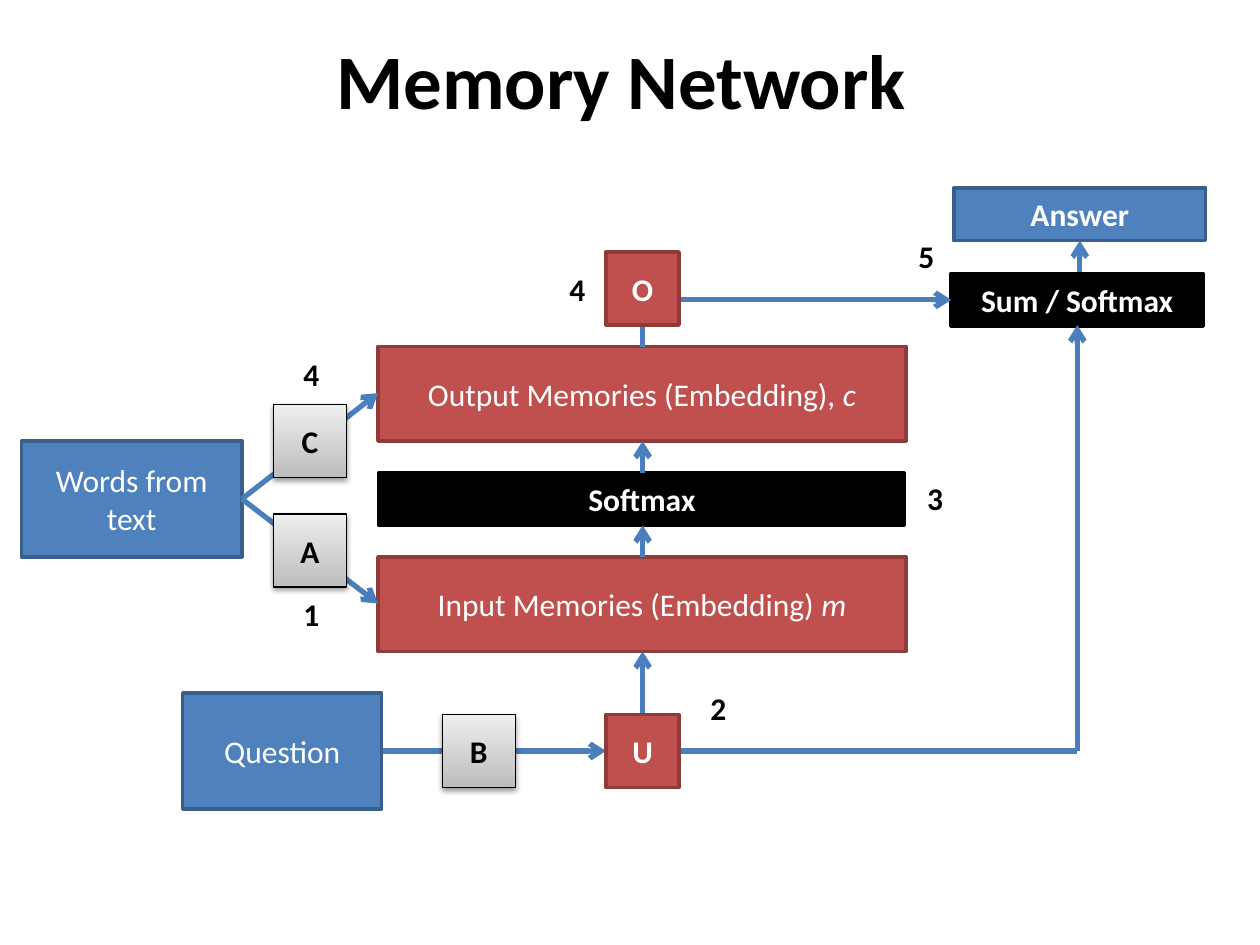
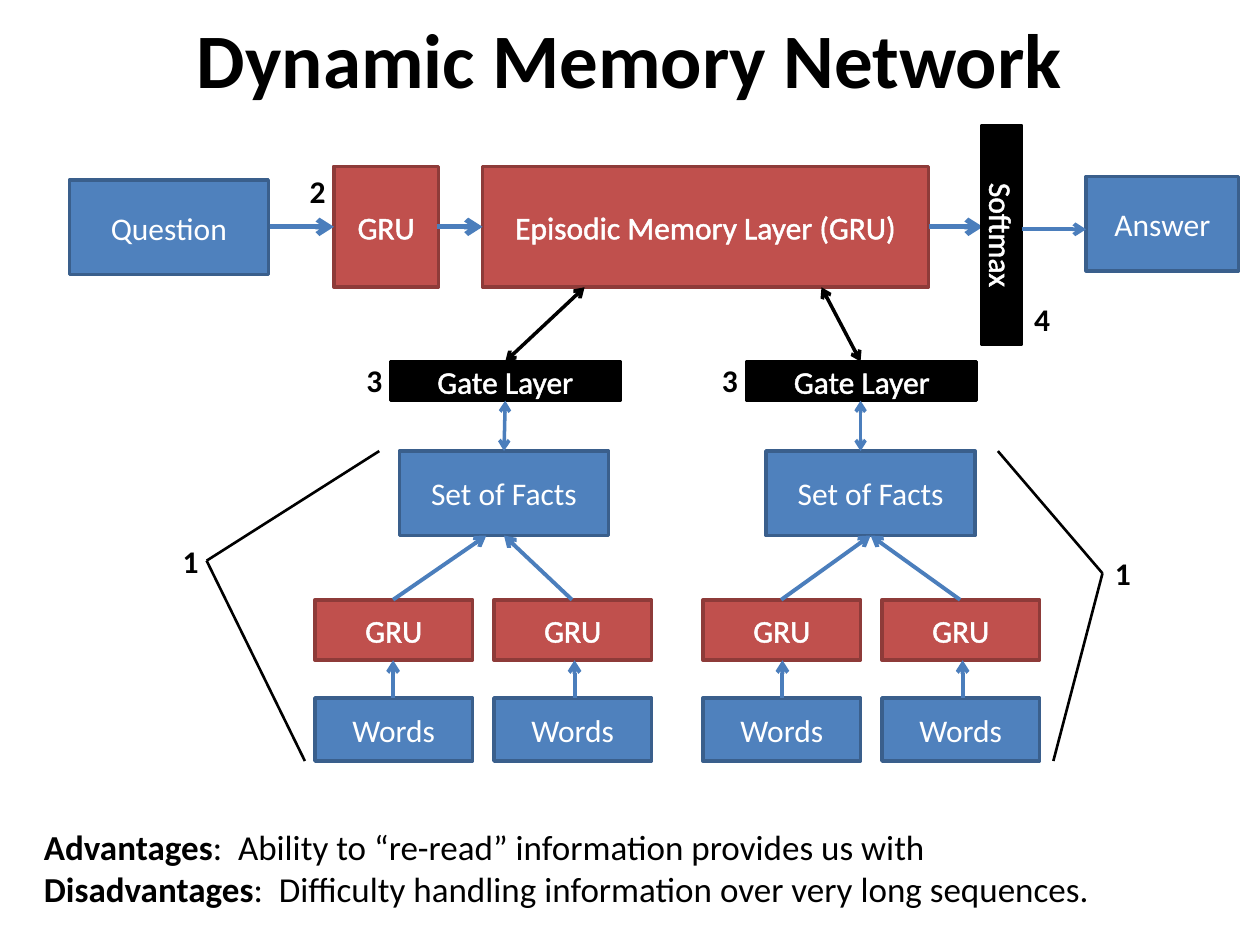
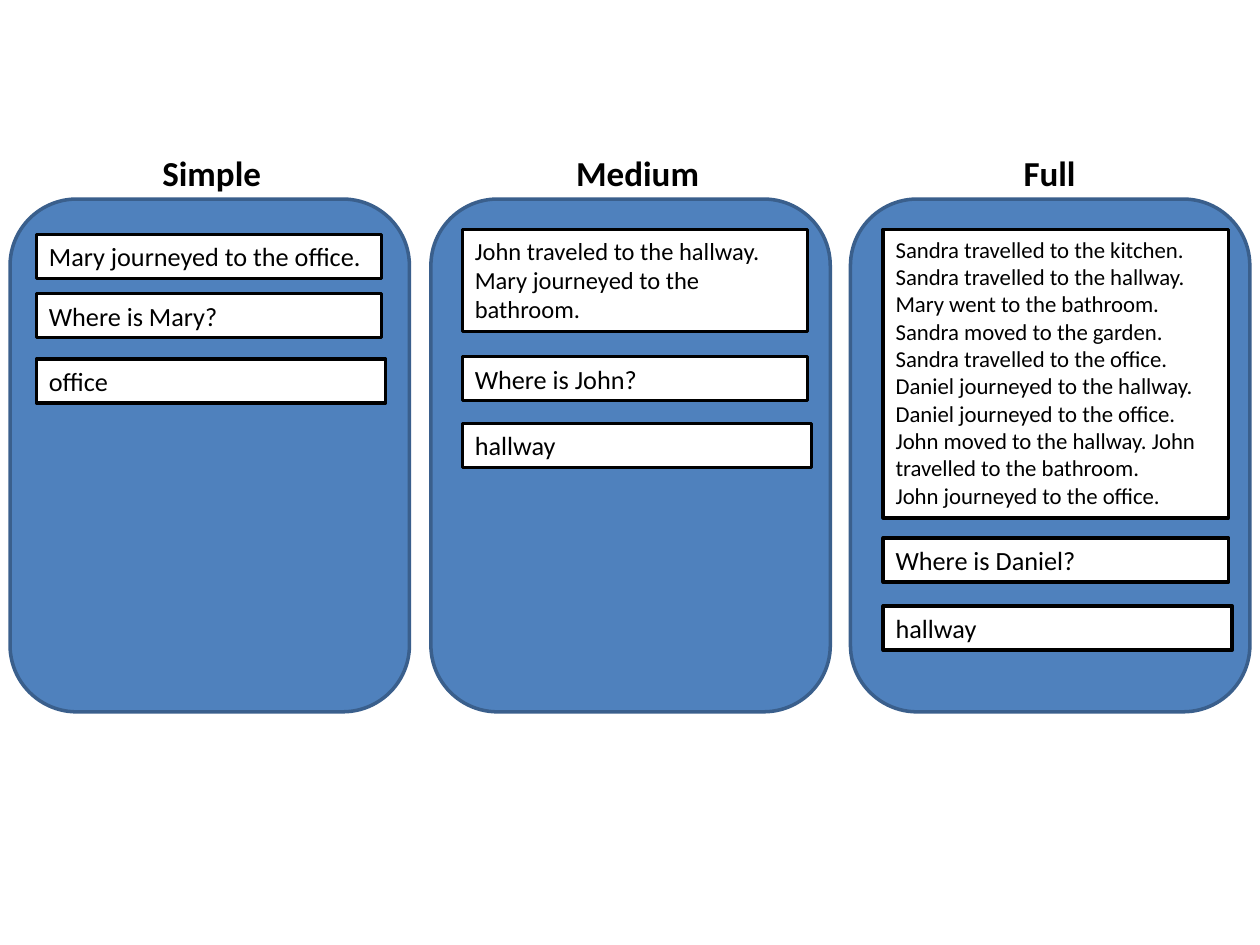
from lxml.etree import SubElement
from pptx import Presentation
from pptx.dml.color import RGBColor
from pptx.enum.shapes import MSO_CONNECTOR, MSO_SHAPE
from pptx.enum.text import MSO_ANCHOR, PP_ALIGN
from pptx.oxml.ns import qn
from pptx.util import Inches, Pt

BLUE = RGBColor(0x4F, 0x81, 0xBD)
BLUE_EDGE = RGBColor(0x3A, 0x5F, 0x8C)
ARROW_BLUE = RGBColor(0x4B, 0x7E, 0xBC)
RED = RGBColor(0xC0, 0x50, 0x4D)
RED_EDGE = RGBColor(0x8E, 0x3B, 0x39)
GRAY_DARK = RGBColor(0xBD, 0xBD, 0xBD)
GRAY_LIGHT = RGBColor(0xEE, 0xEE, 0xEE)
BLACK = RGBColor(0, 0, 0)
WHITE = RGBColor(0xFF, 0xFF, 0xFF)

BODY_FONT = {"name": "Calibri", "size": Pt(18), "bold": False}
BOLD = {"bold": True}
ITALIC = {"italic": True}
TITLE_FONT = {"size": Pt(44), "bold": True}
HEADING_FONT = {"size": Pt(20), "bold": True}
CENTERED = {"alignment": PP_ALIGN.CENTER}
BOX_COLORS = {
    "blue": (BLUE, BLUE_EDGE, WHITE),
    "red": (RED, RED_EDGE, WHITE),
    "black": (BLACK, BLACK, WHITE),
    "white": (WHITE, BLACK, BLACK),
}


def apply_format(target, values):
    for name, value in values.items():
        setattr(target, name, value)


class Deck:
    """Holds the shared style and draws elements on the current slide."""

    def __init__(self):
        self.presentation = Presentation()
        self.presentation.slide_width = Inches(10)
        self.presentation.slide_height = Inches(7.5)
        self.slide = None

    def new_slide(self):
        self.slide = self.presentation.slides.add_slide(self.presentation.slide_layouts[6])

    def fill_text(self, shape, text, color, font, layout, anchor, outlined=False):
        frame = shape.text_frame
        apply_format(frame, {"word_wrap": True, "vertical_anchor": anchor})
        paragraphs = [text] if isinstance(text, str) else text
        for index, runs in enumerate(paragraphs):
            paragraph = frame.add_paragraph() if index else frame.paragraphs[0]
            apply_format(paragraph, layout)
            for words, changes in [(runs, {})] if isinstance(runs, str) else runs:
                run = paragraph.add_run()
                run.text = words
                apply_format(run.font, {**BODY_FONT, **font, **changes})
                run.font.color.rgb = color
                if outlined:
                    self.outline(run, color)

    def outline(self, run, color):
        properties = run.font._element
        line = SubElement(properties, qn("a:ln"), w=str(Pt(1.45)))
        fill = SubElement(line, qn("a:solidFill"))
        SubElement(fill, qn("a:srgbClr"), val=str(color))
        properties.insert(0, line)

    def text(self, text, left, top, width, height, font, layout, anchor=MSO_ANCHOR.TOP):
        box = self.slide.shapes.add_textbox(*map(Inches, (left, top, width, height)))
        self.fill_text(box, text, BLACK, font, layout, anchor)

    def title(self, text, height):
        self.text(text, 0.5, 0, 9, height, TITLE_FONT, CENTERED, MSO_ANCHOR.MIDDLE)

    def number(self, text, left, top):
        self.text(text, left, top, 0.29, 0.4, BOLD, {})

    def shape(self, left, top, width, height, edge, weight=2, preset=MSO_SHAPE.RECTANGLE):
        shape = self.slide.shapes.add_shape(preset, *map(Inches, (left, top, width, height)))
        shape.shadow.inherit = False
        shape.line.color.rgb = edge
        shape.line.width = Pt(weight)
        return shape

    def box(self, colors, text, left, top, width, height, font={}, outlined=False,
            layout=CENTERED, anchor=MSO_ANCHOR.MIDDLE):
        fill, edge, color = BOX_COLORS[colors]
        shape = self.shape(left, top, width, height, edge)
        shape.fill.solid()
        shape.fill.fore_color.rgb = fill
        self.fill_text(shape, text, color, font, layout, anchor, outlined)
        return shape

    def panel(self, left, top, width, height):
        shape = self.shape(left, top, width, height, BLUE_EDGE, preset=MSO_SHAPE.ROUNDED_RECTANGLE)
        shape.fill.solid()
        shape.fill.fore_color.rgb = BLUE

    def matrix(self, text, left, top):
        shape = self.shape(left, top, 0.58, 0.58, BLACK, 0.75)
        shape.fill.gradient()
        shape.fill.gradient_angle = 90
        for stop, color in zip(shape.fill.gradient_stops, (GRAY_DARK, GRAY_LIGHT)):
            stop.color.rgb = color
        effects = shape.element.spPr.find(qn("a:effectLst"))
        shadow = SubElement(effects, qn("a:outerShdw"), blurRad="40000", dist="20000",
                            dir="5400000", rotWithShape="0")
        shade = SubElement(shadow, qn("a:srgbClr"), val=str(BLACK))
        SubElement(shade, qn("a:alpha"), val="38000")
        self.fill_text(shape, text, BLACK, BOLD, CENTERED, MSO_ANCHOR.MIDDLE)

    def line(self, start, end, weight=3, color=ARROW_BLUE, ends=("tailEnd",)):
        connector = self.slide.shapes.add_connector(
            MSO_CONNECTOR.STRAIGHT, *map(Inches, (*start, *end)))
        connector.line.color.rgb = color
        connector.line.width = Pt(weight)
        properties = connector.element.spPr
        for end_name in ends:
            SubElement(properties.find(qn("a:ln")), qn(f"a:{end_name}"), type="arrow")
        SubElement(properties, qn("a:effectLst"))


def memory_network(deck):
    deck.new_slide()
    deck.title("Memory Network ", 1.25)
    deck.box("blue", "Question", 1.45, 5.5, 1.58, 0.92)
    deck.box("blue", "Words from text", 0.17, 3.5, 1.75, 0.92)
    deck.box("blue", "Answer", 7.57, 1.49, 2, 0.42, BOLD)
    deck.box("black", "Sum / Softmax", 7.55, 2.17, 2, 0.42, BOLD)
    deck.box("black", "Softmax", 3.01, 3.75, 4.17, 0.42, BOLD)
    for words, symbol, top in (("Input Memories (Embedding) ", "m", 4.42),
                               ("Output Memories (Embedding), ", "c", 2.75)):
        deck.box("red", [[(words, {}), (symbol, ITALIC)]], 3, top, 4.19, 0.75)

    for start, end in (
        ((3.04, 5.96), (4.81, 5.96)),
        ((1.92, 3.96), (3, 4.79)),
        ((1.92, 3.96), (3, 3.12)),
        ((5.1, 4.42), (5.1, 4.17)),
        ((5.1, 3.75), (5.1, 3.5)),
        ((5.1, 5.67), (5.1, 5.17)),
        ((5.08, 2.38), (7.55, 2.38)),
        ((8.57, 2.16), (8.57, 1.91)),
        ((8.55, 5.96), (8.55, 2.58)),
    ):
        deck.line(start, end)
    deck.line((5.1, 2.75), (5.1, 2.38), ends=())
    deck.line((5.39, 5.96), (8.55, 5.96), ends=())

    for name, left, top in (("C", 2.17, 3.21), ("A", 2.17, 4.08), ("B", 3.51, 5.67)):
        deck.matrix(name, left, top)
    for name, top in (("U", 5.67), ("O", 2)):
        deck.box("red", name, 4.81, top, 0.58, 0.58, BOLD)
    for step, left, top in (("1", 2.31, 4.67), ("2", 5.54, 5.42), ("3", 7.26, 3.75),
                            ("4", 2.31, 2.77), ("4", 4.42, 2.09), ("5", 7.19, 1.83)):
        deck.number(step, left, top)


def dynamic_memory_network(deck):
    deck.new_slide()
    deck.title("Dynamic Memory Network", 0.92)
    deck.text([
        [("Advantages", BOLD), (":  Ability to “re-read” information provides us with", {})],
        [("Disadvantages", BOLD),
         (":  Difficulty handling information over very long sequences.", {})],
    ], 0.25, 6.5, 9.42, 0.77, {"size": Pt(20)}, {})

    deck.box("blue", "Question", 0.55, 1.43, 1.58, 0.75)
    deck.box("red", "GRU", 2.65, 1.32, 0.83, 0.96, outlined=True)
    deck.box("red", "Episodic Memory Layer (GRU)", 3.83, 1.32, 3.54, 0.96, outlined=True)
    deck.box("blue", "Answer", 8.62, 1.4, 1.21, 0.75)
    for left, right in ((2.14, 2.65), (3.47, 3.83), (7.37, 7.8)):
        deck.line((left, 1.8), (right, 1.8))
    softmax = deck.box("black", "Softmax", 7.08, 1.71, 1.74, 0.31, outlined=True)
    softmax.rotation = 90
    deck.line((8.11, 1.82), (8.62, 1.82), 2.25)

    both_ends = ("headEnd", "tailEnd")
    for gate_left, facts_left, facts_center, gate_center, memory_x in (
            (3.1, 3.17, 4, 4.01, 4.64), (5.93, 6.08, 6.83, 6.83, 6.52)):
        deck.box("black", "Gate Layer", gate_left, 2.87, 1.82, 0.31, outlined=True)
        deck.box("blue", "Set of Facts", facts_left, 3.58, 1.66, 0.67)
        deck.line((facts_center, 3.58), (gate_center, 3.18), 2, ends=both_ends)
        deck.line((gate_center, 2.87), (memory_x, 2.28), 2, BLACK, both_ends)

    for left, words_x, facts_x in ((2.5, 3.12, 3.86), (3.92, 4.56, 4),
                                   (5.58, 6.21, 6.91), (7, 7.64, 6.91)):
        deck.box("red", "GRU", left, 4.76, 1.25, 0.48, outlined=True)
        deck.box("blue", "Words", left, 5.54, 1.25, 0.5)
        deck.line((words_x, 5.54), (words_x, 5.24), 2.25)
        deck.line((left + 0.62, 4.76), (facts_x, 4.25), 2.25)

    for corner, top_x, bottom_x in (((1.64, 4.45), 3.01, 2.42), ((8.75, 4.55), 7.92, 8.36)):
        for end in ((top_x, 3.58), (bottom_x, 6.04)):
            deck.line(corner, end, 1.5, BLACK, ())
    for step, left, top in (("1", 1.35, 4.25), ("1", 8.75, 4.35), ("2", 2.36, 1.32),
                            ("3", 2.81, 2.82), ("3", 5.63, 2.82), ("4", 8.11, 2.33)):
        deck.number(step, left, top)


def example_tasks(deck):
    deck.new_slide()
    medium_story = ["John traveled to the hallway.", "Mary journeyed to the bathroom."]
    full_story = [
        "Sandra travelled to the kitchen.",
        "Sandra travelled to the hallway.",
        "Mary went to the bathroom.",
        "Sandra moved to the garden.",
        "Sandra travelled to the office.",
        "Daniel journeyed to the hallway.",
        "Daniel journeyed to the office.",
        "John moved to the hallway. John travelled to the bathroom.",
        "John journeyed to the office.",
    ]
    tasks = (
        ("Simple", 0.97, 0.08, 0.29, ("Mary journeyed to the office.", 1.86, 0.35, 15),
         ("Where is Mary?", 2.33), ("office", 2.85)),
        ("Medium", 4.35, 3.42, 3.67, (medium_story, 1.82, 0.81, 14),
         ("Where is John?", 2.83), ("hallway", 3.36)),
        ("Full", 7.62, 6.75, 7.01, (full_story, 1.82, 2.29, 13),
         ("Where is Daniel?", 4.27), ("hallway", 4.81)),
    )
    for heading, heading_left, panel_left, box_left, story, question, answer in tasks:
        deck.panel(panel_left, 1.58, 3.17, 4.07)
        deck.text(heading, heading_left, 1.15, 1.42, 0.44, HEADING_FONT, CENTERED)
        for (text, top, height, size), width in (
                (story, 2.74), ((*question, 0.35, 15), 2.74), ((*answer, 0.35, 15), 2.77)):
            deck.box("white", text, box_left, top, width, height, {"size": Pt(size)},
                     layout={"alignment": PP_ALIGN.LEFT}, anchor=MSO_ANCHOR.TOP)


def main():
    deck = Deck()
    memory_network(deck)
    dynamic_memory_network(deck)
    example_tasks(deck)
    deck.presentation.save("out.pptx")


if __name__ == "__main__":
    main()
